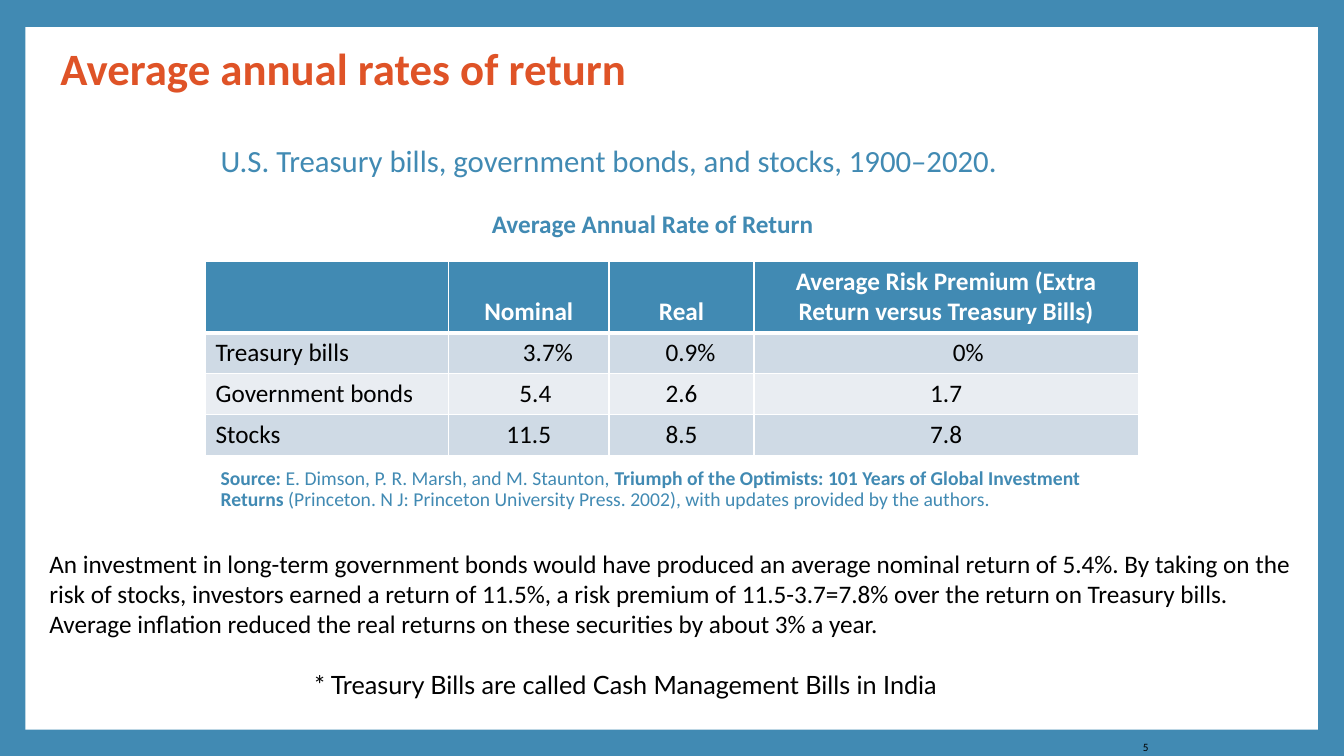
from dataclasses import dataclass

from lxml import etree
from pptx import Presentation
from pptx import util as u
from pptx.dml import color
from pptx.enum import shapes, text
from pptx.oxml import ns

WIDE, HIGH = u.Inches(13.33), u.Inches(7.5)
BLUE, WHITE, BLACK, RED = "418AB3", "FFFFFF", "000000", "DF5327"
BANDS = ("CFDAE5", "E9EDF2")
LEFT, SPAN = 15.3, 69.39
COLS = (18.08, 11.93, 10.8, 28.58)
HEAD, ROW = 9.33, 5.4
ALIGN = text.PP_ALIGN


@dataclass
class Box:
    """Place of an element in percent of the slide's width and height."""
    x: float
    y: float
    w: float
    h: float

    def place(self) -> tuple:
        """Return left, top, width and height as lengths."""
        return across(self.x), down(self.y), across(self.w), down(self.h)


@dataclass
class Note:
    """A text box whose runs are pairs of wording and boldness."""
    box: Box
    runs: tuple
    size: int
    tint: str = BLACK
    face: str = "Calibri"
    inset: float = 0
    lead: float = 1
    side: ALIGN = ALIGN.LEFT


@dataclass
class Cell:
    """A table entry with its left indent in inches."""
    words: str
    inset: float = 0


NOTES = (
    Note(Box(LEFT, 18.67, SPAN, 6.27),
         (("U.S. Treasury bills, government bonds, and stocks, 1900–2020.", False),),
         22, BLUE, inset=0.05, lead=0.9),
    Note(Box(35.48, 27.33, 29.26, 5.6), (("Average Annual Rate of Return", True),),
         18, BLUE, inset=0.05, lead=0.9),
    Note(Box(LEFT, 61.33, SPAN, 10.53),
         (("Source:", True),
          (" E. Dimson, P. R. Marsh, and M. Staunton, ", False),
          ("Triumph of the Optimists: 101 Years of Global Investment Returns", True),
          (" (Princeton. N J: Princeton University Press. 2002), "
           "with updates provided by the authors.", False)),
         14, BLUE, inset=0.05, lead=0.9),
    Note(Box(83.27, 97.33, 2.93, 2.4), (("5", False),), 8, side=ALIGN.RIGHT),
    Note(Box(2.93, 71.87, 94.22, 13.47),
         (("An investment in long-term government bonds would have produced an average "
           "nominal return of 5.4%. By taking on the risk of stocks, investors earned a "
           "return of 11.5%, a risk premium of 11.5-3.7=7.8% over the return on Treasury "
           "bills. Average inflation reduced the real returns on these securities by "
           "about 3% a year.", False),), 18),
    Note(Box(22.66, 87.87, 50.04, 5.33),
         (("* Treasury Bills are called Cash Management Bills in India", False),),
         18, face="Lato"),
)

RATES = (
    (Cell(""), Cell("Nominal"), Cell("Real"),
     Cell("Average Risk Premium (Extra Return versus Treasury Bills)")),
    (Cell("Treasury bills"), Cell("3.7%", 0.38), Cell("0.9%", 0.18), Cell("0%", 0.44)),
    (Cell("Government bonds"), Cell("5.4", 0.13), Cell("2.6"), Cell("1.7")),
    (Cell("Stocks"), Cell("11.5"), Cell("8.5"), Cell("7.8")),
)


def across(share: float) -> int:
    """Turn a percentage of the width into a length."""
    return round(WIDE * share / 100)


def down(share: float) -> int:
    """Turn a percentage of the height into a length."""
    return round(HIGH * share / 100)


def paint(fill, tint: str) -> None:
    """Make a fill solid in one colour."""
    fill.solid()
    fill.fore_color.rgb = color.RGBColor.from_string(tint)


def style(para, size: int, tint: str, face: str = "Calibri", bold=None) -> None:
    """Set the font of a paragraph."""
    font = para.font
    font.size, font.name, font.bold = u.Pt(size), face, bold
    paint(font.fill, tint)


def indent(para, inset: float) -> None:
    """Set the left margin of a paragraph without hanging."""
    props = para._p.get_or_add_pPr()
    props.set("marL", str(u.Inches(inset)))
    props.set("indent", "0")


def write(slide, note: Note) -> None:
    """Add one text box."""
    frame = slide.shapes.add_textbox(*note.box.place()).text_frame
    frame.word_wrap = True
    para = frame.paragraphs[0]
    para.alignment, para.line_spacing = note.side, note.lead
    indent(para, note.inset)
    style(para, note.size, note.tint, note.face)
    for words, bold in note.runs:
        run = para.add_run()
        run.text, run.font.bold = words, bold


def edge(cell, side: str, width: int) -> None:
    """Draw one white border of a cell."""
    line = etree.SubElement(cell._tc.get_or_add_tcPr(), ns.qn("a:ln" + side),
                            w=str(u.Pt(width)))
    fill = etree.SubElement(line, ns.qn("a:solidFill"))
    etree.SubElement(fill, ns.qn("a:srgbClr"), val=WHITE)


def tabulate(slide) -> None:
    """Add the table of returns."""
    box = Box(LEFT, 34.53, SPAN, HEAD + ROW * (len(RATES) - 1))
    table = slide.shapes.add_table(len(RATES), len(COLS), *box.place()).table
    for col, share in zip(table.columns, COLS):
        col.width = across(share)
    for r, line in enumerate(RATES):
        top = r == 0
        table.rows[r].height = down(HEAD if top else ROW)
        for c, item in enumerate(line):
            cell = table.cell(r, c)
            for side in "LRTB":
                edge(cell, side, 3 if (r, side) in ((0, "B"), (1, "T")) else 1)
            paint(cell.fill, BLUE if top else BANDS[(r - 1) % 2])
            cell.vertical_anchor = text.MSO_ANCHOR.BOTTOM if top else text.MSO_ANCHOR.TOP
            cell.text = item.words
            para = cell.text_frame.paragraphs[0]
            para.alignment = ALIGN.CENTER if c else ALIGN.LEFT
            indent(para, item.inset)
            style(para, 18, WHITE if top else BLACK, bold=top)


def head(slide) -> None:
    """Place and format the title."""
    title = slide.shapes.title
    title.left, title.top, title.width, title.height = Box(3.75, 4.4, 92.5, 9.87).place()
    frame = title.text_frame
    frame.text = "Average annual rates of return"
    frame.vertical_anchor = text.MSO_ANCHOR.MIDDLE
    para = frame.paragraphs[0]
    para.alignment, para.line_spacing = ALIGN.LEFT, 0.9
    style(para, 32, RED, bold=True)


def panel(slide) -> None:
    """Add the white sheet behind the other elements."""
    sheet = slide.shapes.add_shape(shapes.MSO_SHAPE.RECTANGLE,
                                   *Box(1.88, 3.6, 96.17, 92.93).place())
    sheet.shadow.inherit = False
    paint(sheet.fill, WHITE)
    sheet.line.fill.background()
    slide.shapes.title._element.addprevious(sheet._element)


def main() -> None:
    """Build and save the slide."""
    deck = Presentation()
    deck.slide_width, deck.slide_height = WIDE, HIGH
    slide = deck.slides.add_slide(deck.slide_layouts[5])
    paint(slide.background.fill, BLUE)
    panel(slide)
    head(slide)
    tabulate(slide)
    for note in NOTES:
        write(slide, note)
    deck.save("out.pptx")


if __name__ == "__main__":
    main()
